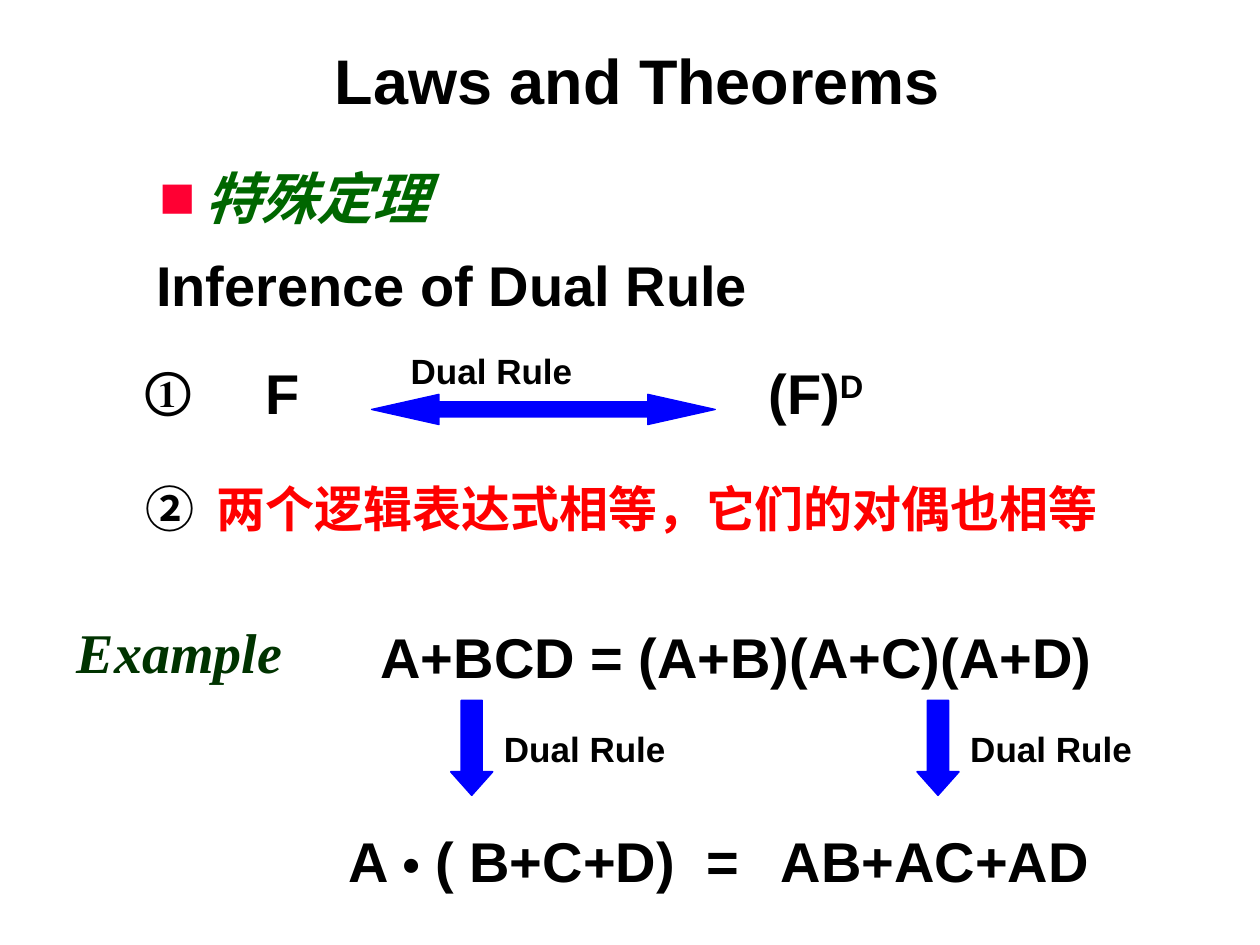
from dataclasses import dataclass

from lxml.etree import SubElement
from pptx import Presentation
from pptx.dml.color import RGBColor
from pptx.enum.shapes import MSO_SHAPE
from pptx.oxml.ns import qn
from pptx.util import Cm, Pt

COLORS = {
    "text": "000000",
    "arrow": "0000FF",
    "rule": "FF0000",
    "heading": "006600",
    "example": "003300",
    "bullet": "FF0033",
}
CJK = "Noto Sans CJK SC"
SERIF = "Times New Roman"


@dataclass
class Run:
    text: str
    color: str | None = None
    size: float | None = None
    baseline: int = 0


@dataclass
class Arrow:
    kind: MSO_SHAPE
    x: float
    y: float
    w: float
    h: float
    head: float
    line: float


def rgb(name: str) -> RGBColor:
    return RGBColor.from_string(COLORS[name])


def add_bullet(p, char: str, color: str, percent: int) -> None:
    pPr = p._p.get_or_add_pPr()
    clr = SubElement(pPr, qn("a:buClr"))
    SubElement(clr, qn("a:srgbClr"), val=COLORS[color])
    SubElement(pPr, qn("a:buSzPct"), val=str(percent * 1000))
    SubElement(pPr, qn("a:buFont"), typeface=CJK)
    SubElement(pPr, qn("a:buChar"), char=char)


def add_text(s, x: float, y: float, w: float, *runs: str | Run, size: float = 32,
             font: str = "Arial", color: str = "text", italic: bool = False,
             hang: float = 0, bullet: str = "") -> None:
    """Add a one-line text box (cm); its height follows the font size."""
    sp = s.shapes.add_textbox(Cm(x), Cm(y), Cm(w), Cm(size * 0.0423 + 0.25))
    tf = sp.text_frame
    tf.word_wrap = True
    p = tf.paragraphs[0]
    if hang:
        pPr = p._p.get_or_add_pPr()
        pPr.set("marL", str(Cm(hang)))
        pPr.set("indent", str(-Cm(hang)))
    if bullet:
        add_bullet(p, bullet, "bullet", 65)
    for item in runs:
        run = Run(item) if isinstance(item, str) else item
        r = p.add_run()
        r.text = run.text
        r.font.name = font
        r.font.size = Pt(run.size or size)
        r.font.bold = True
        r.font.italic = italic
        r.font.color.rgb = rgb(run.color or color)
        rPr = r._r.get_or_add_rPr()
        SubElement(rPr, qn("a:ea"), typeface=font)
        if run.baseline:
            rPr.set("baseline", str(run.baseline * 1000))


def add_arrow(s, arrow: Arrow) -> None:
    sp = s.shapes.add_shape(arrow.kind, Cm(arrow.x), Cm(arrow.y), Cm(arrow.w), Cm(arrow.h))
    sp.shadow.inherit = False
    sp.adjustments[0] = 0.5
    sp.adjustments[1] = arrow.head
    sp.fill.solid()
    sp.fill.fore_color.rgb = rgb("arrow")
    sp.line.color.rgb = rgb("arrow")
    sp.line.width = Pt(arrow.line)


def add_dual_step(s, x: float) -> None:
    """Add a down arrow with its rule name to the right."""
    add_arrow(s, Arrow(MSO_SHAPE.DOWN_ARROW, x, 14.12, 0.84, 1.91, 0.56, 1))
    add_text(s, x + 0.82, 14.53, 4.19, "Dual Rule", size=20)


def main() -> None:
    prs = Presentation()
    prs.slide_width, prs.slide_height = Cm(25.4), Cm(19.05)
    s = prs.slides.add_slide(prs.slide_layouts[6])

    add_text(s, 6.5, 0.71, 14, "Laws and Theorems", size=36)
    add_text(s, 2.97, 3.18, 11.61, "特殊定理", font=CJK, color="heading",
             italic=True, hang=0.91, bullet="■")
    add_text(s, 2.9, 4.93, 13.8, "Inference of Dual Rule")

    # First inference: F and its dual
    add_text(s, 2.69, 7.11, 2, "①", size=28, font=SERIF)
    add_text(s, 5.11, 7.11, 2.13, "F")
    add_text(s, 8.03, 6.91, 5.6, "Dual Rule", size=20)
    add_arrow(s, Arrow(MSO_SHAPE.LEFT_RIGHT_ARROW, 7.49, 7.95, 6.93, 0.61, 2.23, 0.75))
    add_text(s, 15.24, 7.11, 2.67, "(F)", Run("D", baseline=30))

    # Second inference: equal expressions have equal duals
    add_text(s, 2.69, 9.53, 20.6, "②\t", Run("两个逻辑表达式相等，它们的对偶也相等", "rule"),
             size=28, font=CJK, hang=1.43)

    # Worked example
    add_text(s, 1.3, 12.32, 5.21, "Example", font=SERIF, color="example", italic=True)
    add_text(s, 7.42, 12.42, 15.44, "A+BCD = (A+B)(A+C)(A+D)")
    for x in (9.09, 18.49):
        add_dual_step(s, x)
    result_y = 16.54
    add_text(s, 6.78, result_y, 7.19, "A ", Run("•", size=28), " ( B+C+D)")
    add_text(s, 14, result_y, 2.11, "=")
    add_text(s, 15.49, result_y, 7.42, "AB+AC+AD")

    prs.save("out.pptx")


if __name__ == "__main__":
    main()
